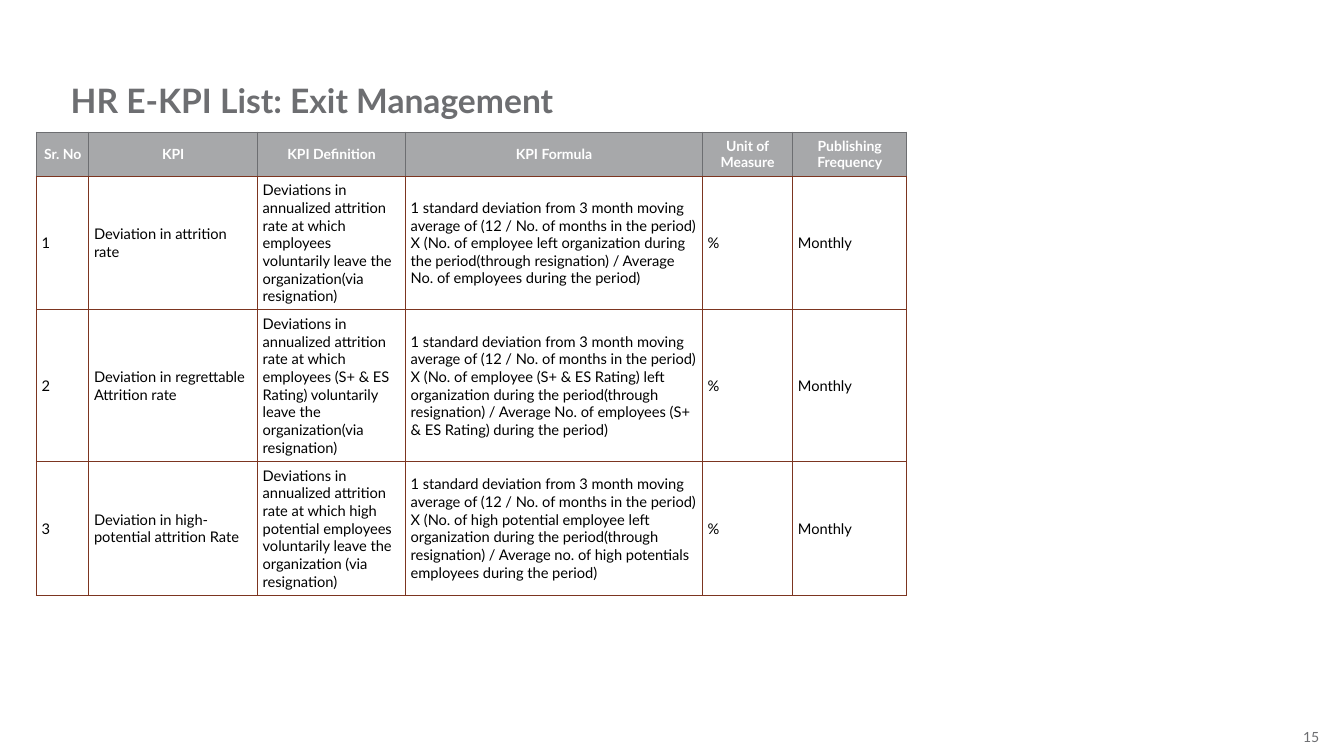
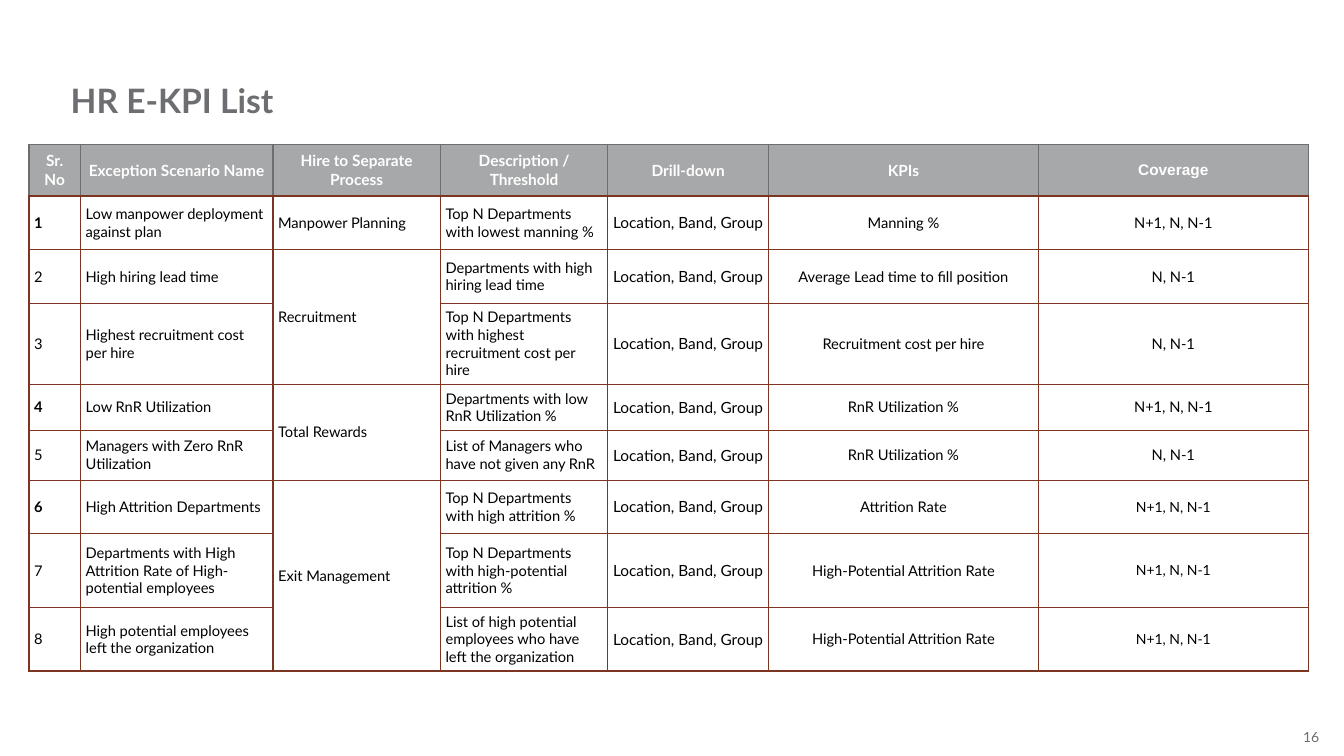
"""Build the two exception KPI slides for HR."""
from dataclasses import dataclass
from typing import Optional

from lxml.etree import SubElement
from pptx import Presentation
from pptx.dml.color import RGBColor
from pptx.enum.text import MSO_ANCHOR, MSO_AUTO_SIZE, PP_ALIGN
from pptx.oxml.ns import qn
from pptx.util import Cm, Pt


@dataclass(frozen=True)
class Theme:
    font: str = "Lato"
    grey: str = "6D6E71"
    header_fill: str = "A7A8AA"
    header_text: str = "FFFFFF"
    body_text: str = "000000"
    border: str = "7C3520"
    border_width: float = 1
    title_size: float = 24
    body_size: float = 10.5
    small_size: float = 10
    large_size: float = 11
    cell_margin: float = 0.13


@dataclass(frozen=True)
class Column:
    heading: str
    width: float
    align: PP_ALIGN = PP_ALIGN.LEFT
    size: Optional[float] = None
    heading_font: Optional[str] = None


@dataclass(frozen=True)
class Entry:
    text: str
    size: Optional[float] = None
    bold: bool = False


class Deck:
    def __init__(self, theme):
        self.theme = theme
        self.presentation = Presentation()
        self.presentation.slide_width = Cm(33.87)
        self.presentation.slide_height = Cm(19.05)
        self.slide = None

    def add_slide(self, title, number):
        layout = self.presentation.slide_layouts.get_by_name("Title Only")
        self.slide = self.presentation.slides.add_slide(layout)
        self.page_number(number)
        self.title(title)

    def add_text(self, frame, text, size, color, bold=False, align=PP_ALIGN.LEFT, font=None):
        paragraph = frame.paragraphs[0]
        paragraph.alignment = align
        run = paragraph.add_run()
        run.text = text
        run.font.name = font or self.theme.font
        run.font.size = Pt(size)
        run.font.bold = bold
        run.font.color.rgb = RGBColor.from_string(color)

    def frame(self, shape, anchor, wrap):
        frame = shape.text_frame
        frame.margin_left = frame.margin_right = 0
        frame.margin_top = frame.margin_bottom = 0
        frame.vertical_anchor = anchor
        frame.word_wrap = wrap
        frame.auto_size = MSO_AUTO_SIZE.SHAPE_TO_FIT_TEXT
        return frame

    def title(self, text):
        shape = self.slide.shapes.title
        shape.left, shape.top = Cm(1.78), Cm(2.01)
        shape.width, shape.height = Cm(30.45), Cm(1.02)
        frame = self.frame(shape, MSO_ANCHOR.TOP, True)
        self.add_text(frame, text, self.theme.title_size, self.theme.grey, bold=True)

    def page_number(self, number):
        shape = self.slide.shapes.add_textbox(Cm(32.82), Cm(18.36), Cm(0.43), Cm(0.43))
        frame = self.frame(shape, MSO_ANCHOR.MIDDLE, False)
        self.add_text(frame, str(number), self.theme.small_size, self.theme.grey,
                      align=PP_ALIGN.RIGHT)

    def borders(self, cell, colors):
        properties = cell._tc.get_or_add_tcPr()
        for position, (side, color) in enumerate(zip("LRTB", colors)):
            line = SubElement(properties, qn(f"a:ln{side}"),
                              w=str(Pt(self.theme.border_width)))
            fill = SubElement(line, qn("a:solidFill"))
            SubElement(fill, qn("a:srgbClr"), val=color)
            properties.insert(position, line)

    def format_cell(self, cell, is_header):
        margin = Cm(self.theme.cell_margin)
        cell.margin_left = cell.margin_right = margin
        cell.margin_top = cell.margin_bottom = margin
        cell.vertical_anchor = MSO_ANCHOR.MIDDLE
        if is_header:
            cell.fill.solid()
            cell.fill.fore_color.rgb = RGBColor.from_string(self.theme.header_fill)
            self.borders(cell, [self.theme.grey] * 3 + [self.theme.border])
        else:
            cell.fill.background()
            self.borders(cell, [self.theme.border] * 4)

    def header_cell(self, cell, column, size):
        self.format_cell(cell, True)
        self.add_text(cell.text_frame, column.heading, size, self.theme.header_text,
                      bold=True, align=PP_ALIGN.CENTER, font=column.heading_font)

    def body_cell(self, cell, column, value):
        self.format_cell(cell, False)
        if value is None:
            return
        entry = value if isinstance(value, Entry) else Entry(value)
        size = entry.size or column.size or self.theme.body_size
        self.add_text(cell.text_frame, entry.text, size, self.theme.body_text,
                      bold=entry.bold, align=column.align)

    def table(self, left, top, columns, heights, rows, header_size):
        width = sum(column.width for column in columns)
        table = self.slide.shapes.add_table(
            len(heights), len(columns), Cm(left), Cm(top), Cm(width), Cm(sum(heights))).table
        table.first_row = table.horz_banding = False
        for row, height in zip(table.rows, heights):
            row.height = Cm(height)
        for index, column in enumerate(columns):
            table.columns[index].width = Cm(column.width)
            self.header_cell(table.cell(0, index), column, header_size)
            for row_index, values in enumerate(rows, 1):
                self.body_cell(table.cell(row_index, index), column, values[index])
        return table


def exit_management_slide(deck):
    deck.add_slide("HR E-KPI List: Exit Management", 15)
    columns = [
        Column("Sr. No", 1.32),
        Column("KPI", 4.25),
        Column("KPI Definition", 3.73),
        Column("KPI Formula", 7.48),
        Column("Unit of Measure", 2.28),
        Column("Publishing Frequency", 2.87),
    ]
    definition = "Deviations in annualized attrition rate at which "
    formula = ("1 standard deviation from 3 month moving average of "
               "(12 / No. of months in the period) X (No. of ")
    resigned = "left organization during the period(through resignation) / Average "
    kpis = [
        ("Deviation in attrition rate",
         "employees voluntarily leave the organization(via resignation)",
         f"employee {resigned}No. of employees during the period)"),
        ("Deviation in regrettable Attrition rate",
         "employees (S+ & ES Rating) voluntarily leave the organization(via resignation)",
         f"employee (S+ & ES Rating) {resigned}"
         "No. of employees (S+ & ES Rating) during the period)"),
        ("Deviation in high-potential attrition Rate",
         "high potential employees voluntarily leave the organization (via resignation)",
         f"high potential employee {resigned}"
         "no. of high potentials employees during the period)"),
    ]
    rows = [(str(number), name, definition + who, formula + what, "%", "Monthly")
            for number, (name, who, what) in enumerate(kpis, 1)]
    deck.table(0.92, 3.33, columns, [1.1, 3.37, 3.82, 3.37], rows, deck.theme.small_size)


def scenario_slide(deck):
    deck.add_slide("HR E-KPI List", 16)
    large, small = deck.theme.large_size, deck.theme.small_size
    center = PP_ALIGN.CENTER
    columns = [
        Column("Sr. No", 1.3),
        Column("Exception Scenario Name", 4.85),
        Column("Hire to Separate Process", 4.22),
        Column("Description / Threshold", 4.22),
        Column("Drill-down", 4.05, size=large),
        Column("KPIs", 6.8, center),
        Column("Coverage", 6.8, center, heading_font="Arial"),
    ]
    current, all_levels = "N, N-1", "N+1, N, N-1"
    small_levels = Entry(all_levels, small)
    scenarios = [
        ("Low manpower deployment against plan", "Manpower Planning",
         "Top N Departments with lowest manning %", "Manning %", all_levels),
        ("High hiring lead time", "Recruitment",
         "Departments with high hiring lead time",
         "Average Lead time to fill position", current),
        ("Highest recruitment cost per hire", None,
         "Top N Departments with highest recruitment cost per hire",
         "Recruitment cost per hire", current),
        ("Low RnR Utilization", "Total Rewards",
         "Departments with low RnR Utilization %", "RnR Utilization %", all_levels),
        ("Managers with Zero RnR Utilization", None,
         "List of Managers who have not given any RnR", "RnR Utilization %", current),
        ("High Attrition Departments", "Exit Management",
         "Top N Departments with high attrition %", "Attrition Rate", small_levels),
        ("Departments with High Attrition Rate of High-potential employees", None,
         "Top N Departments with high-potential attrition %",
         "High-Potential Attrition Rate", small_levels),
        ("High potential employees left the organization", None,
         "List of high potential employees who have left the organization",
         "High-Potential Attrition Rate", small_levels),
    ]
    bold_numbers = {1, 4, 6}
    rows = [(Entry(str(number), bold=number in bold_numbers), name, process,
             description, "Location, Band, Group", kpi, coverage)
            for number, (name, process, description, kpi, coverage)
            in enumerate(scenarios, 1)]
    heights = [1.3, 1.35, 1.35, 2.05, 1.13, 1.26, 1.35, 1.86, 1.6]
    table = deck.table(0.73, 3.64, columns, heights, rows, large)
    process_column = 2
    for first, last in [(2, 3), (4, 5), (6, 8)]:
        table.cell(first, process_column).merge(table.cell(last, process_column))


deck = Deck(Theme())
exit_management_slide(deck)
scenario_slide(deck)
deck.presentation.save("out.pptx")
